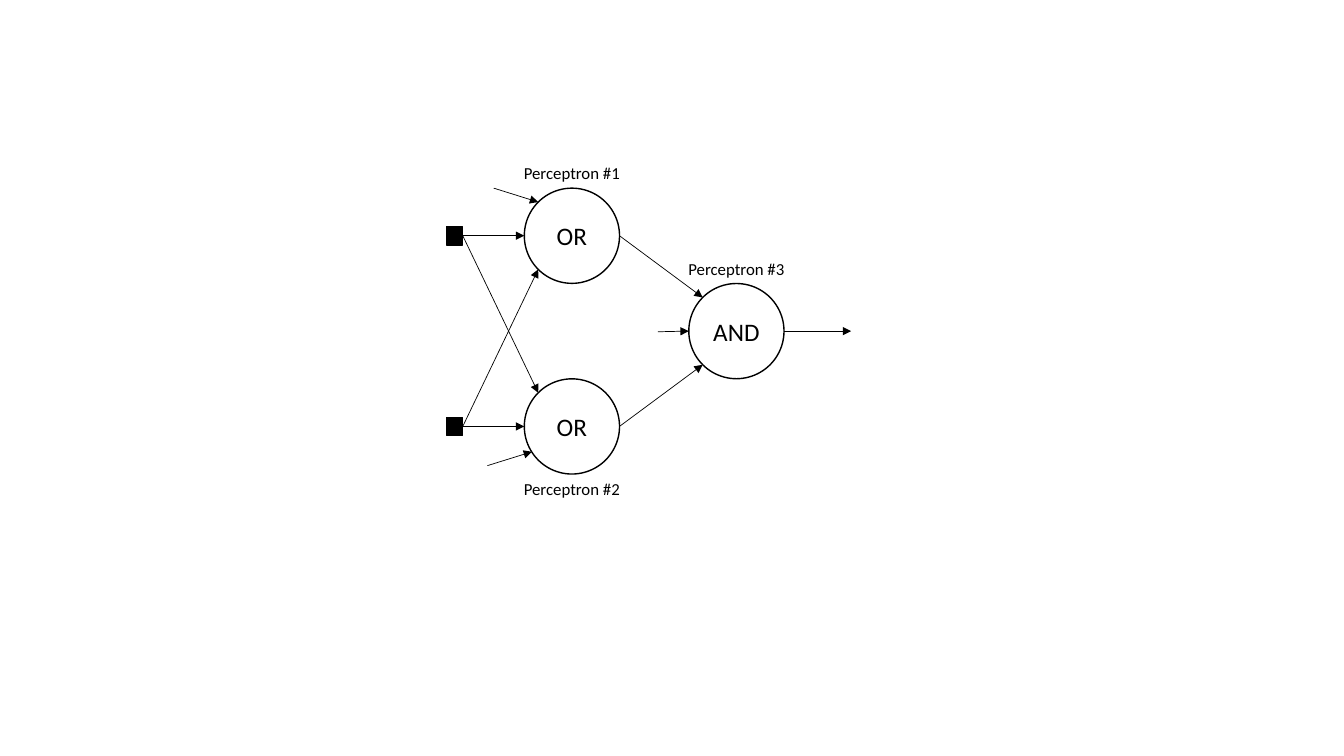
"""Draw a two-layer network of three perceptrons."""
from dataclasses import dataclass
from math import sqrt

from lxml.etree import SubElement as Sub
from pptx import Presentation
from pptx.dml.color import RGBColor as Rgb
from pptx.enum.shapes import MSO_CONNECTOR as Conn, MSO_SHAPE as Kind
from pptx.enum.text import MSO_ANCHOR as Anchor, MSO_AUTO_SIZE as Auto, PP_ALIGN as Align
from pptx.oxml.ns import qn
from pptx.util import Pt


@dataclass(frozen=True)
class Theme:
    """Colours, font and sizes."""
    ink: Rgb = Rgb(0, 0, 0)
    font: str = "Calibri"
    gate: int = 18
    label: int = 12
    edge: float = 1
    wire: float = 0.5


class Sketch:
    """Holds the theme and draws in one group on the current slide."""

    def __init__(self, slide, theme):
        """Start an empty group."""
        self.theme = theme
        self.shapes = slide.shapes.add_group_shape().shapes

    def text(self, frame, words, size):
        """Put one centred line in a text frame."""
        para = frame.paragraphs[0]
        para.text = words
        para.alignment = Align.CENTER
        para.font.name = self.theme.font
        para.font.size = Pt(size)
        para.font.color.rgb = self.theme.ink

    def shape(self, kind, mid, wide, high):
        """Add an outlined shape around a middle point."""
        x, y = mid
        item = self.shapes.add_shape(
            kind, Pt(x - wide / 2), Pt(y - high / 2), Pt(wide), Pt(high))
        item.shadow.inherit = False
        item.line.color.rgb = self.theme.ink
        item.line.width = Pt(self.theme.edge)
        return item

    def gate(self, mid, radius, name):
        """Add a round gate with its name inside."""
        item = self.shape(Kind.OVAL, mid, 2 * radius, 2 * radius)
        item.fill.background()
        frame = item.text_frame
        frame.word_wrap = False
        frame.vertical_anchor = Anchor.MIDDLE
        self.text(frame, name, self.theme.gate)

    def input(self, mid, wide, high):
        """Add a solid input block."""
        fill = self.shape(Kind.RECTANGLE, mid, wide, high).fill
        fill.solid()
        fill.fore_color.rgb = self.theme.ink

    def label(self, mid, top, words):
        """Add a caption centred on a column."""
        wide = 87
        box = self.shapes.add_textbox(Pt(mid - wide / 2), Pt(top), Pt(wide), Pt(21.8))
        frame = box.text_frame
        frame.word_wrap = True
        frame.auto_size = Auto.SHAPE_TO_FIT_TEXT
        self.text(frame, words, self.theme.label)

    def arrow(self, start, end):
        """Add a thin wire with a head at its end."""
        wire = self.shapes.add_connector(
            Conn.STRAIGHT, *(Pt(v) for v in (*start, *end)))
        wire.line.color.rgb = self.theme.ink
        wire.line.width = Pt(self.theme.wire)
        props = wire.element.spPr
        Sub(props.find(qn("a:ln")), qn("a:tailEnd"), type="triangle")
        Sub(props, qn("a:effectLst"))


def main():
    """Build and save the slide."""
    deck = Presentation()
    deck.slide_width, deck.slide_height = Pt(960), Pt(540)
    pen = Sketch(deck.slides.add_slide(deck.slide_layouts[6]), Theme())

    radius = 34
    slant = radius / sqrt(2)
    col, last, feed = 408.5, 526, 324.8
    top, low = 168.4, 304.6
    mid = (top + low) / 2
    wide, high = 11.5, 13
    rise = radius + 21.6

    gates = [
        (col, top, "OR", -rise),
        (col, low, "OR", radius),
        (last, mid, "AND", -rise),
    ]
    for num, (x, y, name, shift) in enumerate(gates, 1):
        pen.gate((x, y), radius, name)
        pen.label(x, y + shift, f"Perceptron #{num}")

    for y, other, sign in ((top, low, 1), (low, top, -1)):
        pen.input((feed, y), wide, high)
        port = (feed + wide / 2, y)
        pen.arrow(port, (col - radius, y))
        pen.arrow(port, (col - slant, other - sign * slant))
        pen.arrow((col + radius, y), (last - slant, mid - sign * slant))

    pen.arrow((last + radius, mid), (608, mid))
    pen.arrow((352.7, top - radius), (col - slant, top - slant))
    pen.arrow((348.2, 332.6), (380, 322.7))
    pen.arrow((470, 237), (last - radius, mid))

    deck.save("out.pptx")


if __name__ == "__main__":
    main()
